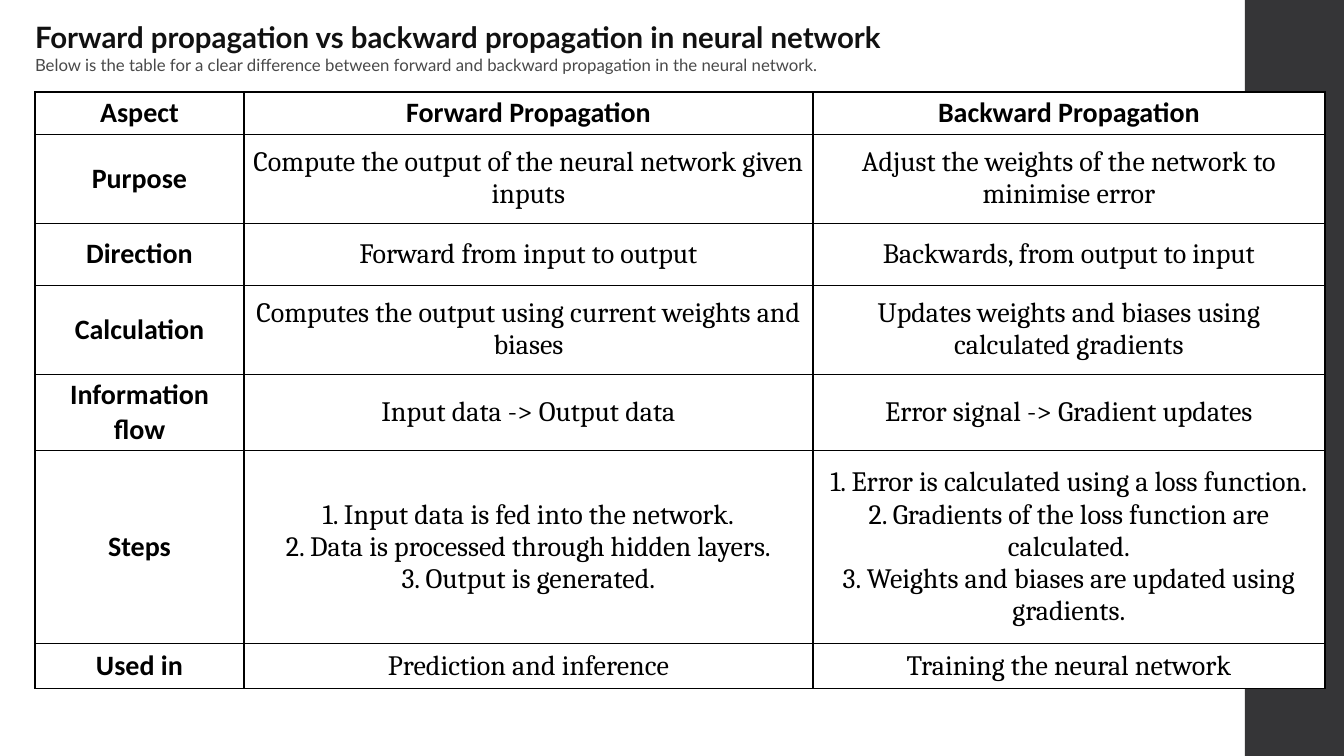
from lxml import etree
from pptx import Presentation
from pptx import util as u
from pptx.dml.color import RGBColor
from pptx.enum import shapes, text
from pptx.oxml.ns import qn

# Content
HEAD = [
    ("Forward propagation vs backward propagation in neural network", 21, "111111", True),
    ("Below is the table for a clear difference between forward and backward "
     "propagation in the neural network.", 12, "494949", False),
]
ROWS = [  # height, then the lines of each cell
    (36, ["Aspect"], ["Forward Propagation"], ["Backward Propagation"]),
    (89, ["Purpose"],
     ["Compute the output of the neural network given inputs"],
     ["Adjust the weights of the network to minimise error"]),
    (62, ["Direction"], ["Forward from input to output"],
     ["Backwards, from output to input"]),
    (89, ["Calculation"],
     ["Computes the output using current weights and biases"],
     ["Updates weights and biases using calculated gradients"]),
    (62, ["Information flow"], ["Input data -> Output data"],
     ["Error signal -> Gradient updates"]),
    (193, ["Steps"],
     ["1. Input data is fed into the network.",
      "2. Data is processed through hidden layers.",
      "3. Output is generated."],
     ["1. Error is calculated using a loss function.",
      "2. Gradients of the loss function are calculated.",
      "3. Weights and biases are updated using gradients."]),
    (45, ["Used in"], ["Prediction and inference"], ["Training the neural network"]),
]
COLS = [209, 569, 512]
LEFT, TOP, TALL = 35, 92, 611
WIDE, HIGH = 1344, 756
SCALE = 914400 / 100.8


def px(n):
    return u.Emu(round(n * SCALE))


def tint(code):
    return RGBColor.from_string(code)


def paint(part, code):
    part.fill.solid()
    part.fill.fore_color.rgb = tint(code)


def block(x, y, w, h, code):
    shape = page.shapes.add_shape(shapes.MSO_SHAPE.RECTANGLE, px(x), px(y), px(w), px(h))
    shape.shadow.inherit = False
    shape.line.fill.background()
    paint(shape, code)
    return shape


def write(frame, lines, face, align):
    for i, (words, size, code, bold) in enumerate(lines):
        para = frame.paragraphs[0] if i == 0 else frame.add_paragraph()
        para.alignment = align
        run = para.add_run()
        run.text = words
        font = run.font
        font.name, font.size, font.bold = face, u.Pt(size), bold
        font.color.rgb = tint(code)


def border(cell, code):
    props = cell._tc.get_or_add_tcPr()
    for i, side in enumerate(("lnL", "lnR", "lnT", "lnB")):
        line = etree.Element(qn("a:" + side), w=str(u.Pt(1)))
        fill = etree.SubElement(line, qn("a:solidFill"))
        etree.SubElement(fill, qn("a:srgbClr"), val=code)
        props.insert(i, line)


deck = Presentation()
deck.slide_width, deck.slide_height = px(WIDE), px(HIGH)
page = deck.slides.add_slide(deck.slide_layouts[6])

# Dark side band
block(1245, 0, WIDE - 1245, HIGH, "353537")

# Comparison table
holder = page.shapes.add_table(len(ROWS), len(COLS), px(LEFT), px(TOP),
                               px(sum(COLS)), px(TALL))
table = holder.table
for col, wide in zip(table.columns, COLS):
    col.width = px(wide)
for r, (high, *cells) in enumerate(ROWS):
    table.rows[r].height = px(high)
    for c, lines in enumerate(cells):
        cell = table.cell(r, c)
        label = r == 0 or c == 0
        cell.margin_left = cell.margin_right = px(8)
        cell.margin_top = cell.margin_bottom = px(4)
        cell.vertical_anchor = text.MSO_ANCHOR.MIDDLE
        paint(cell, "FFFFFF")
        border(cell, "000000")
        write(cell.text_frame, [(words, 20, "000000", label) for words in lines],
              "Calibri" if label else "Cambria", text.PP_ALIGN.CENTER)
holder.height = px(TALL)

# Title and subtitle
title = block(LEFT, 19, 895, 56, "FFFFFF").text_frame
title.word_wrap = True
title.auto_size = text.MSO_AUTO_SIZE.SHAPE_TO_FIT_TEXT
title.vertical_anchor = text.MSO_ANCHOR.MIDDLE
title.margin_left = title.margin_right = title.margin_top = title.margin_bottom = 0
write(title, HEAD, "Lato", text.PP_ALIGN.LEFT)

deck.save("out.pptx")
